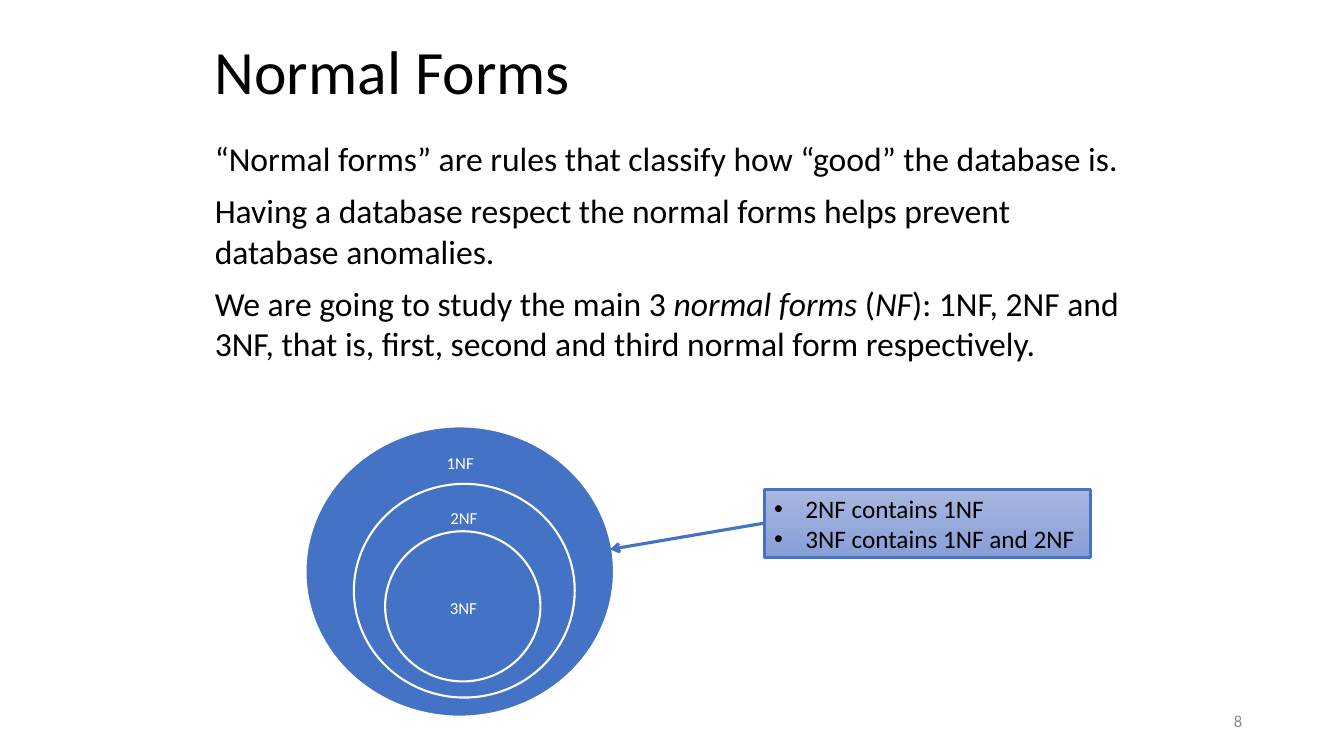
from lxml.etree import SubElement
from pptx import Presentation
from pptx.dml.color import RGBColor
from pptx.enum.shapes import MSO_CONNECTOR, MSO_SHAPE
from pptx.enum.text import MSO_ANCHOR, MSO_AUTO_SIZE, PP_ALIGN
from pptx.oxml.ns import qn
from pptx.util import Inches, Pt

BLACK = RGBColor(0, 0, 0)
WHITE = RGBColor(255, 255, 255)
GREY = RGBColor(0x8C, 0x8C, 0x8C)
BLUE = RGBColor(0x44, 0x72, 0xC4)
LIGHT = RGBColor(0xA8, 0xB7, 0xDF)
DEEP = RGBColor(0x88, 0x9E, 0xD7)
FONT = "Calibri"

TITLE = "Normal Forms"
# Each paragraph is a list of (text, italic) runs
BODY = [
    [("“Normal forms” are rules that classify how “good” the database is.", False)],
    [("Having a database respect the normal forms helps prevent database anomalies.", False)],
    [("We are going to study the main 3 ", False), ("normal forms", True), (" (", False),
     ("NF", True), ("): 1NF, 2NF and 3NF, that is, first, second and third normal form "
                    "respectively.", False)],
]
# Label, ellipse box, label box
RINGS = [
    ("1NF", (3.03, 4.23, 3.06, 2.88), (4.03, 4.38, 1.07, 0.43)),
    ("2NF", (3.51, 4.8, 2.19, 2.12), (4.09, 4.94, 1.02, 0.4)),
    ("3NF", (3.82, 5.27, 1.54, 1.49), (4.05, 5.65, 1.09, 0.75)),
]
NOTES = ["2NF contains 1NF", "3NF contains 1NF and 2NF"]
NOTE_BOX = (7.58, 4.86, 3.24, 0.67)
ARROW = (7.58, 5.19, 6.05, 5.45)
NUMBER = "8"


def inches(box):
    return [Inches(v) for v in box]


def place(shape, box):
    shape.left, shape.top, shape.width, shape.height = inches(box)


def style(para, size, color, align=PP_ALIGN.LEFT):
    para.alignment = align
    font = para.font
    font.name, font.size, font.color.rgb = FONT, Pt(size), color


def indent(para, left, hang, bullet=None):
    """Set the left margin, hanging indent and bullet of a paragraph."""
    props = para._p.get_or_add_pPr()
    props.set("marL", str(Inches(left)))
    props.set("indent", str(-Inches(hang)))
    if bullet:
        SubElement(props, qn("a:buFont"), typeface="Arial")
        SubElement(props, qn("a:buChar"), char=bullet)
    else:
        SubElement(props, qn("a:buNone"))


def add_label(slide, text, box, size, color, align, margin):
    frame = slide.shapes.add_textbox(*inches(box)).text_frame
    frame.word_wrap = True
    frame.vertical_anchor = MSO_ANCHOR.MIDDLE
    frame.margin_left = frame.margin_right = Inches(margin)
    para = frame.paragraphs[0]
    para.text = text
    style(para, size, color, align)


def add_title(slide):
    title = slide.shapes.title
    place(title, (2.03, 0.17, 8.84, 1.13))
    frame = title.text_frame
    frame.text = TITLE
    frame.auto_size = MSO_AUTO_SIZE.NONE
    frame.vertical_anchor = MSO_ANCHOR.MIDDLE
    para = frame.paragraphs[0]
    para.line_spacing = 0.9
    style(para, 44, BLACK)


def add_body(slide):
    body = slide.placeholders[1]
    place(body, (2.03, 1.32, 9.39, 5.51))
    frame = body.text_frame
    frame.auto_size = MSO_AUTO_SIZE.NONE
    for i, runs in enumerate(BODY):
        para = frame.add_paragraph() if i else frame.paragraphs[0]
        indent(para, 0, 0)
        para.space_before = Pt(6 if i else 0)
        para.space_after = Pt(2.4)
        style(para, 24, BLACK)
        for text, slant in runs:
            run = para.add_run()
            run.text = text
            if slant:
                run.font.italic = True


def add_rings(slide):
    for label, ring, box in RINGS:
        oval = slide.shapes.add_shape(MSO_SHAPE.OVAL, *inches(ring))
        oval.shadow.inherit = False
        oval.fill.solid()
        oval.fill.fore_color.rgb = BLUE
        oval.line.color.rgb = WHITE
        oval.line.width = Pt(1.5)
        add_label(slide, label, box, 12, WHITE, PP_ALIGN.CENTER, 0.09)


def add_note(slide):
    note = slide.shapes.add_shape(MSO_SHAPE.RECTANGLE, *inches(NOTE_BOX))
    note.shadow.inherit = False
    note.fill.gradient()
    note.fill.gradient_angle = 270
    for stop, color in zip(note.fill.gradient_stops, (LIGHT, DEEP)):
        stop.color.rgb = color
    note.line.color.rgb = BLUE
    note.line.width = Pt(2.25)
    frame = note.text_frame
    frame.vertical_anchor = MSO_ANCHOR.MIDDLE
    for i, text in enumerate(NOTES):
        para = frame.add_paragraph() if i else frame.paragraphs[0]
        para.text = text
        indent(para, 0.31, 0.31, "•")
        style(para, 18, BLACK)


def add_arrow(slide):
    arrow = slide.shapes.add_connector(MSO_CONNECTOR.STRAIGHT, *inches(ARROW))
    arrow.line.color.rgb = BLUE
    arrow.line.width = Pt(2.25)
    SubElement(arrow.line._get_or_add_ln(), qn("a:tailEnd"), type="arrow")
    SubElement(arrow._element.spPr, qn("a:effectLst"))


def main():
    deck = Presentation()
    deck.slide_width, deck.slide_height = Inches(13.33), Inches(7.5)
    slide = deck.slides.add_slide(deck.slide_layouts[1])
    add_title(slide)
    add_body(slide)
    add_rings(slide)
    add_note(slide)
    add_arrow(slide)
    add_label(slide, NUMBER, (9.42, 6.95, 3, 0.4), 12, GREY, PP_ALIGN.RIGHT, 0.1)
    deck.save("out.pptx")


if __name__ == "__main__":
    main()
